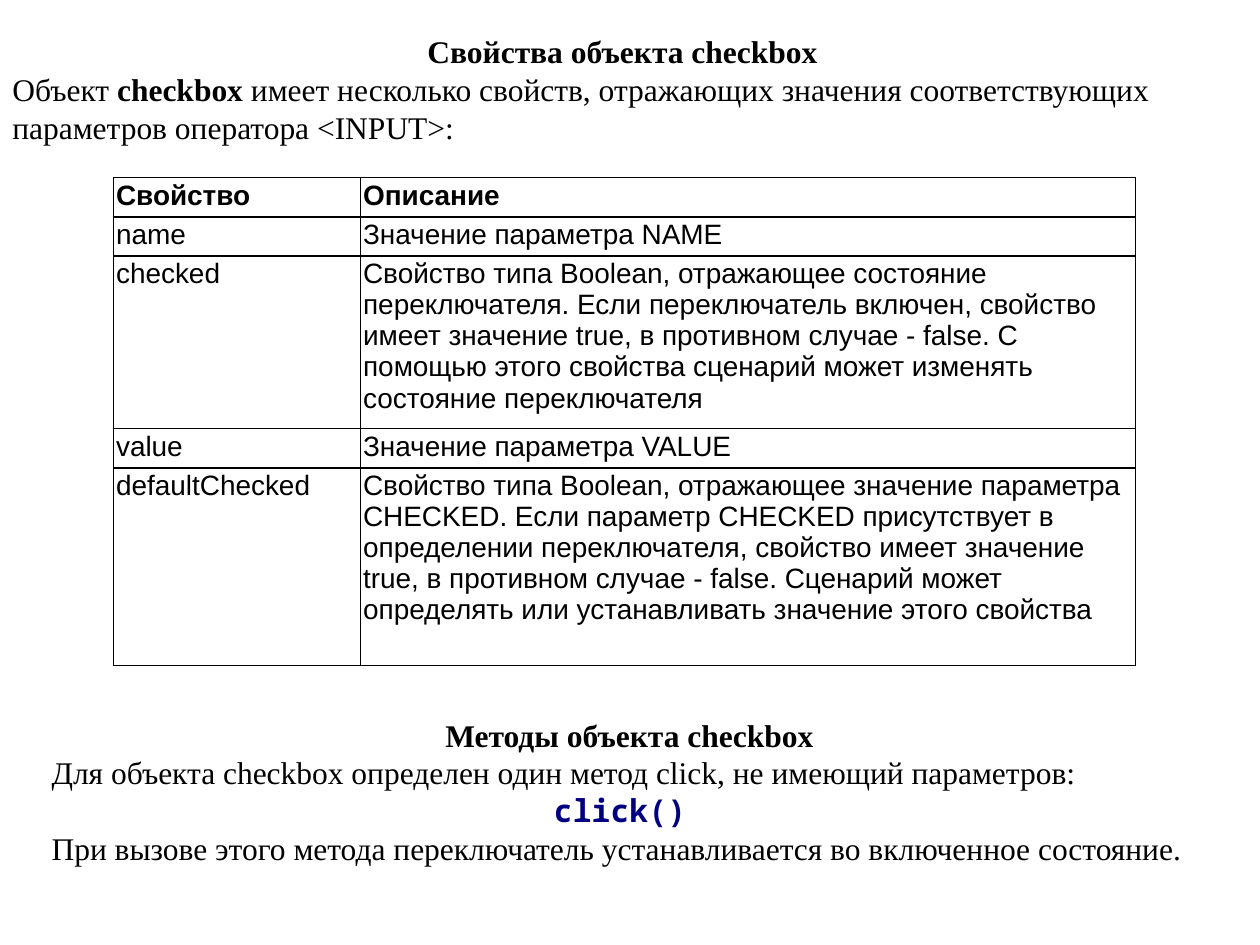
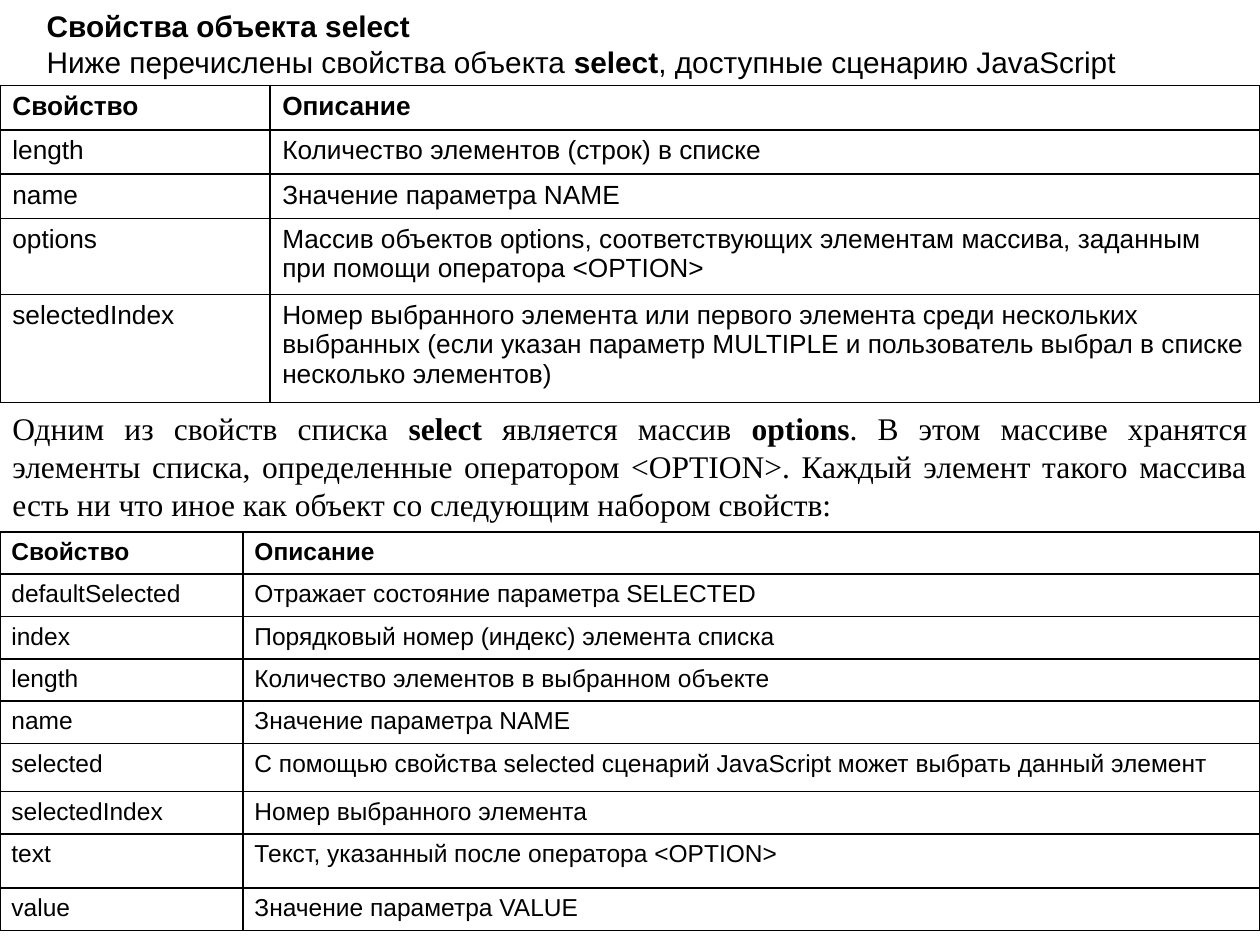
from lxml.etree import SubElement
from pptx import Presentation
from pptx.dml.color import RGBColor
from pptx.enum.text import MSO_AUTO_SIZE as AutoSize, PP_ALIGN as Align
from pptx.oxml.ns import qn
from pptx.util import Cm, Pt

COLORS = {"ink": "000000", "code": "000080"}
SERIF, SANS, MONO = "Times New Roman", "Arial", "Noto Sans Mono"
LEFT, CENTER, JUSTIFY = Align.LEFT, Align.CENTER, Align.JUSTIFY
SLIDE_WIDTH, SLIDE_HEIGHT = 25.4, 19.05
HEADER = ("Свойство", "Описание")

# Prose: paragraphs of (alignment, runs); a run is (text, bold[, font, colour])
CHECKBOX_INTRO = [
    (CENTER, [("Свойства объекта checkbox", True)]),
    (LEFT, [("Объект ", False), ("checkbox", True),
            (" имеет несколько свойств, отражающих значения соответствующих "
             "параметров оператора <INPUT>:", False)]),
]
CHECKBOX_METHODS = [
    (CENTER, [("Методы объекта checkbox", True)]),
    (LEFT, [("Для объекта checkbox определен один метод click, не имеющий параметров:", False)]),
    (CENTER, [("click() ", True, MONO, "code")]),
    (LEFT, [("При вызове этого метода переключатель устанавливается "
             "во включенное состояние.", False)]),
]
SELECT_INTRO = [
    (LEFT, [("Свойства объекта select", True)]),
    (LEFT, [("Ниже перечислены свойства объекта ", False), ("select", True),
            (", доступные сценарию JavaScript", False)]),
]
OPTIONS_INTRO = [
    (JUSTIFY, [("Одним из свойств списка ", False), ("select", True),
               (" является массив ", False), ("options", True),
               (". В этом массиве хранятся элементы списка, определенные оператором "
                "<OPTION>. Каждый элемент такого массива есть ни что иное как объект "
                "со следующим набором свойств:", False)]),
]

# Property tables: (property, description)
CHECKBOX_PROPERTIES = [
    ("name", "Значение параметра NAME"),
    ("checked", "Свойство типа Boolean, отражающее состояние переключателя. Если "
                "переключатель включен, свойство имеет значение true, в противном "
                "случае - false. С помощью этого свойства сценарий может изменять "
                "состояние переключателя"),
    ("value", "Значение параметра VALUE"),
    ("defaultChecked", "Свойство типа Boolean, отражающее значение параметра CHECKED. "
                       "Если параметр CHECKED присутствует в определении переключателя, "
                       "свойство имеет значение true, в противном случае - false. "
                       "Сценарий может определять или устанавливать значение этого свойства"),
]
SELECT_PROPERTIES = [
    ("length", "Количество элементов (строк) в списке"),
    ("name", "Значение параметра NAME"),
    ("options", "Массив объектов options, соответствующих элементам массива, "
                "заданным при помощи оператора <OPTION>"),
    ("selectedIndex", "Номер выбранного элемента или первого элемента среди нескольких "
                      "выбранных (если указан параметр MULTIPLE и пользователь выбрал "
                      "в списке несколько элементов)"),
]
OPTION_PROPERTIES = [
    ("defaultSelected", "Отражает состояние параметра SELECTED"),
    ("index", "Порядковый номер (индекс) элемента списка"),
    ("length", "Количество элементов в выбранном объекте"),
    ("name", "Значение параметра NAME"),
    ("selected", "С помощью свойства selected сценарий JavaScript может выбрать данный элемент"),
    ("selectedIndex", "Номер выбранного элемента"),
    ("text", "Текст, указанный после оператора <OPTION>"),
    ("value", "Значение параметра VALUE"),
]


def add_run(paragraph, text, bold, font, size, color="ink"):
    run = paragraph.add_run()
    run.text = text
    run.font.name, run.font.size, run.font.bold = font, Pt(size), bold
    run.font.color.rgb = RGBColor.from_string(COLORS[color])


def add_prose(slide, box, paragraphs, font=SERIF, size=18):
    frame = slide.shapes.add_textbox(*map(Cm, box)).text_frame
    frame.word_wrap = True
    frame.auto_size = AutoSize.SHAPE_TO_FIT_TEXT
    for i, (alignment, runs) in enumerate(paragraphs):
        paragraph = frame.add_paragraph() if i else frame.paragraphs[0]
        paragraph.alignment = alignment
        for text, bold, *style in runs:
            run_font, color = style or (font, "ink")
            add_run(paragraph, text, bold, run_font, size, color)


def add_borders(cell):
    properties = cell._tc.get_or_add_tcPr()
    for side in ("lnL", "lnR", "lnT", "lnB"):
        line = SubElement(properties, qn(f"a:{side}"), w=str(Pt(1)))
        fill = SubElement(line, qn("a:solidFill"))
        SubElement(fill, qn("a:srgbClr"), val=COLORS["ink"])


def add_properties(slide, left, top, widths, base_height, tall_rows, properties,
                   size, margins=(0.23, 0.13)):
    """Rows are base_height tall, apart from those listed in tall_rows."""
    rows = [HEADER, *properties]
    heights = [tall_rows.get(name, base_height) for name, _ in rows]
    table = slide.shapes.add_table(len(rows), len(HEADER), Cm(left), Cm(top),
                                   Cm(sum(widths)), Cm(sum(heights))).table
    table.first_row = table.horz_banding = False
    for column, width in zip(table.columns, widths):
        column.width = Cm(width)
    side, edge = map(Cm, margins)
    for row, height, texts in zip(table.rows, heights, rows):
        row.height = Cm(height)
        for cell, text in zip(row.cells, texts):
            cell.margin_left = cell.margin_right = side
            cell.margin_top = cell.margin_bottom = edge
            add_borders(cell)
            cell.fill.background()
            add_run(cell.text_frame.paragraphs[0], text, texts is HEADER, SANS, size)


def main():
    deck = Presentation()
    deck.slide_width, deck.slide_height = Cm(SLIDE_WIDTH), Cm(SLIDE_HEIGHT)
    blank = deck.slide_layouts[6]

    # Checkbox object
    checkbox = deck.slides.add_slide(blank)
    add_properties(checkbox, 2.29, 3.58, (4.98, 15.62), 0.79,
                   {"checked": 3.48, "defaultChecked": 3.99},
                   CHECKBOX_PROPERTIES, 16, margins=(0.05, 0.05))
    add_prose(checkbox, (0, 0.53, 25.1, 2.57), CHECKBOX_INTRO)
    add_prose(checkbox, (0.79, 14.3, 23.8, 3.33), CHECKBOX_METHODS)

    # Select object and its options
    select = deck.slides.add_slide(blank)
    add_prose(select, (0.69, 0.03, 23.8, 1.7), SELECT_INTRO, SANS, 17)
    add_properties(select, 0, 1.72, (5.44, SLIDE_WIDTH - 5.44), 0.89,
                   {"options": 1.52, "selectedIndex": 2.18},
                   SELECT_PROPERTIES, 15, margins=(0.25, 0.13))
    add_properties(select, 0, 10.72, (4.9, SLIDE_WIDTH - 4.9), 0.82,
                   {"selected": 0.97, "text": 1.09}, OPTION_PROPERTIES, 14)
    add_prose(select, (0, 8.13, SLIDE_WIDTH, 2.57), OPTIONS_INTRO)

    deck.save("out.pptx")


if __name__ == "__main__":
    main()
